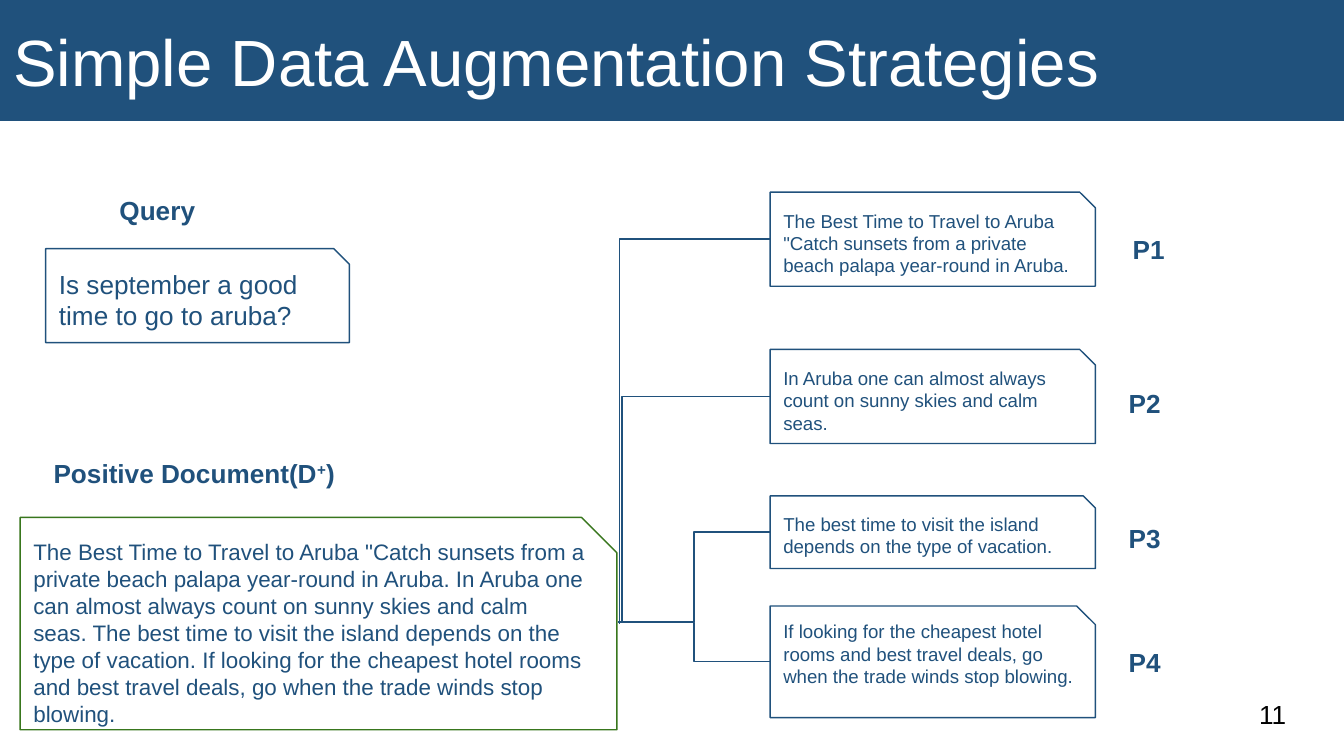
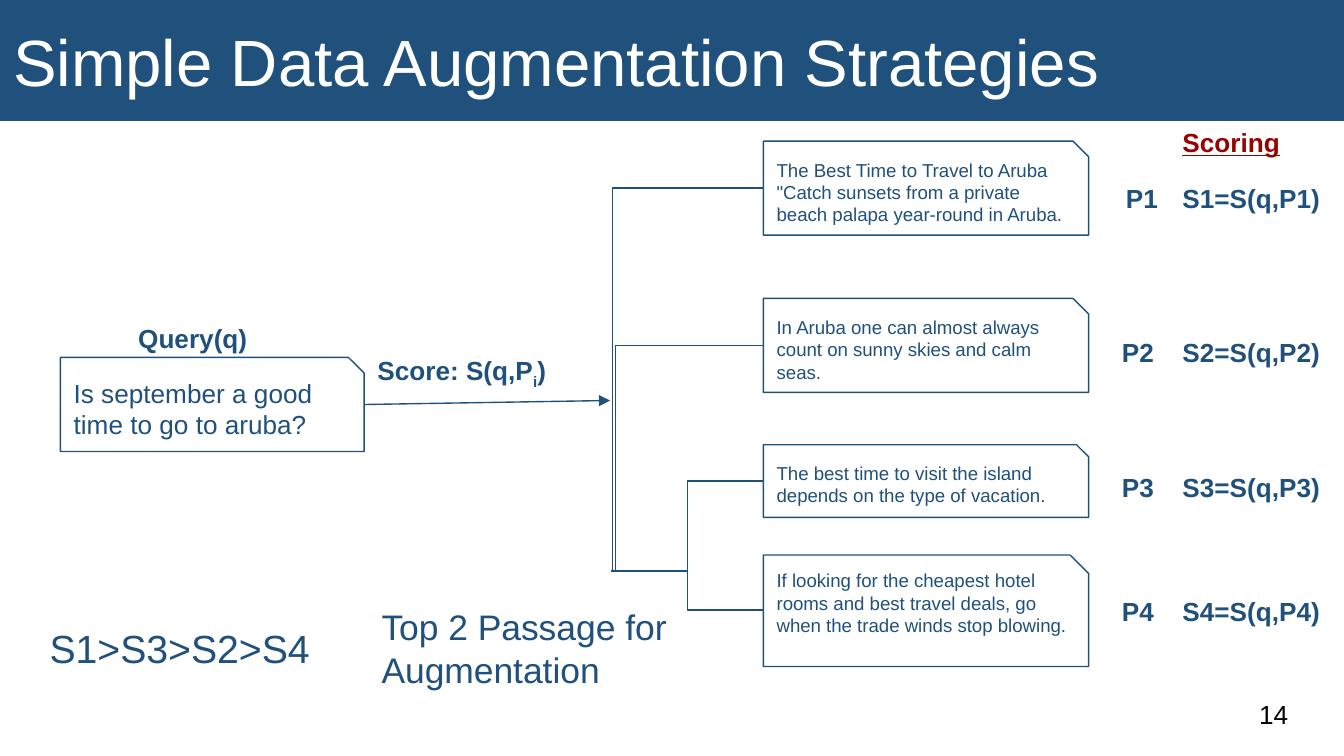
from lxml import etree
from pptx import Presentation
from pptx.dml.color import RGBColor
from pptx.enum.shapes import MSO_CONNECTOR, MSO_SHAPE
from pptx.enum.text import MSO_ANCHOR, MSO_AUTO_SIZE, PP_ALIGN
from pptx.oxml.ns import qn
from pptx.util import Pt

PX = 9144
FONT = "Arial"
BLUE, GREEN, RED, WHITE, BLACK = "20517C", "38761D", "990000", "FFFFFF", "000000"
RECT, SNIP = MSO_SHAPE.RECTANGLE, MSO_SHAPE.SNIP_1_RECTANGLE
STRAIGHT, ELBOW = MSO_CONNECTOR.STRAIGHT, MSO_CONNECTOR.ELBOW
LEFT, TOP, MIDDLE = PP_ALIGN.LEFT, MSO_ANCHOR.TOP, MSO_ANCHOR.MIDDLE
FIT_SHAPE = MSO_AUTO_SIZE.SHAPE_TO_FIT_TEXT

TITLE = "Simple Data Augmentation Strategies"
QUERY = "Is september a good time to go to aruba?"
SENTENCES = [
    'The Best Time to Travel to Aruba "Catch sunsets from a private beach palapa year-round in Aruba.',
    "In Aruba one can almost always count on sunny skies and calm seas.",
    "The best time to visit the island depends on the type of vacation.",
    "If looking for the cheapest hotel rooms and best travel deals, go when the trade winds stop blowing.",
]
PASSAGE_WIDTH = 242
PASSAGE_ROWS = [(0, 70, 10), (117, 70, 10), (226, 54, 10), (308, 83, 29)]
LABEL_OFFSETS = [(260, 21), (257, 135), (257, 236), (257, 328)]
TRUNK_DX, TRUNK_DY = -113, 320


def px(n):
    return round(n * PX)


def rgb(color):
    return RGBColor.from_string(color)


def write(sp, parts, size, color=BLUE, bold=False, underline=False, anchor=MIDDLE, bottom=10):
    tf = sp.text_frame
    tf.word_wrap = True
    tf.vertical_anchor = anchor
    tf.margin_left = tf.margin_right = tf.margin_top = px(10)
    tf.margin_bottom = px(bottom)
    p = tf.paragraphs[0]
    p.alignment = LEFT
    for text, baseline in parts:
        r = p.add_run()
        r.text = text
        r.font.name = FONT
        r.font.size = Pt(size)
        r.font.bold = bold
        r.font.underline = underline
        r.font.color.rgb = rgb(color)
        if baseline:
            r._r.get_or_add_rPr().set("baseline", str(baseline * 1000))


def add_box(s, x, y, w, h, text, size, kind=SNIP, fill=WHITE, line=BLUE, color=BLUE, bottom=10):
    sp = s.shapes.add_shape(kind, px(x), px(y), px(w), px(h))
    sp.shadow.inherit = False
    if fill:
        sp.fill.solid()
        sp.fill.fore_color.rgb = rgb(fill)
    else:
        sp.fill.background()
    if line:
        sp.line.color.rgb = rgb(line)
        sp.line.width = Pt(0.75)
    else:
        sp.line.fill.background()
    write(sp, [(text, 0)], size, color, bottom=bottom)
    return sp


def add_label(s, x, y, w, *parts, color=BLUE, underline=False):
    sp = s.shapes.add_textbox(px(x), px(y), px(w), px(44))
    write(sp, parts, 14, color, bold=True, underline=underline, anchor=TOP)
    sp.text_frame.auto_size = FIT_SHAPE


def add_line(s, kind, x1, y1, x2, y2):
    c = s.shapes.add_connector(kind, px(x1), px(y1), px(x2), px(y2))
    c.line.color.rgb = rgb(BLUE)
    c.line.width = Pt(0.75)
    etree.SubElement(c._element.spPr, qn("a:effectLst"))
    return c


def add_corner(s, x1, y1, x2, y2):
    c = add_line(s, ELBOW, x1, y1, x2, y2)
    c._element.spPr.find(qn("a:prstGeom")).set("prst", "bentConnector2")


def add_arrow(s, source, x1, y1, x2, y2):
    c = add_line(s, STRAIGHT, x1, y1, x2, y2)
    c.begin_connect(source, 3)
    etree.SubElement(c.line._get_or_add_ln(), qn("a:tailEnd"), type="triangle")


def add_passages(s, x, y):
    centers = []
    for text, (dy, h, bottom) in zip(SENTENCES, PASSAGE_ROWS):
        add_box(s, x, y + dy, PASSAGE_WIDTH, h, text, 10, bottom=bottom)
        centers.append(y + dy + h // 2)
    trunk_x, trunk_y = x + TRUNK_DX, y + TRUNK_DY
    add_corner(s, x, centers[0], trunk_x + 1, trunk_y + 1)
    add_corner(s, x, centers[1], trunk_x + 3, trunk_y)
    for center in centers[2:]:
        add_line(s, ELBOW, trunk_x, trunk_y, x, center)
    for i, (dx, dy) in enumerate(LABEL_OFFSETS, 1):
        add_label(s, x + dx, y + dy, 64, (f"P{i}", 0))


def add_slide(prs, number):
    s = prs.slides.add_slide(prs.slide_layouts[6])
    add_box(s, 0, 0, 1000, 90, TITLE, 35, RECT, BLUE, None, WHITE)
    sp = s.shapes.add_textbox(px(927), px(510), px(60), px(43))
    write(sp, [(number, 0)], 14, BLACK)
    return s


def build_splitting(prs):
    s = add_slide(prs, "11")
    add_label(s, 79, 135, 82, ("Query", 0))
    add_box(s, 34, 185, 226, 70, QUERY, 14)
    add_label(s, 30, 330, 235, ("Positive Document(D", 0), ("+", 30), (")", 0))
    add_box(s, 15, 385, 444, 158, " ".join(SENTENCES), 12, line=GREEN)
    add_passages(s, 573, 143)


def build_scoring(prs):
    s = add_slide(prs, "14")
    x, y = 568, 105
    query = add_box(s, 45, 266, 226, 70, QUERY, 14)
    add_label(s, 93, 230, 123, ("Query(q)", 0))
    add_passages(s, x, y)
    add_arrow(s, query, 271, 301, 454, 298)
    add_label(s, 271, 254, 164, ("Score: S(q,P", 0), ("i", -25), (")", 0))
    add_label(s, 870, 84, 130, ("Scoring", 0), color=RED, underline=True)
    for i, (_, dy) in enumerate(LABEL_OFFSETS, 1):
        add_label(s, 870, y + dy, 130, (f"S{i}=S(q,P{i})", 0))
    add_box(s, 27, 444, 232, 70, "S1>S3>S2>S4", 21, fill=None, line=None)
    add_box(s, 274, 444, 239, 70, "Top 2 Passage for Augmentation", 19, fill=None, line=None)


def main():
    prs = Presentation()
    prs.slide_width, prs.slide_height = px(1000), px(562.5)
    build_splitting(prs)
    build_scoring(prs)
    prs.save("out.pptx")


if __name__ == "__main__":
    main()
